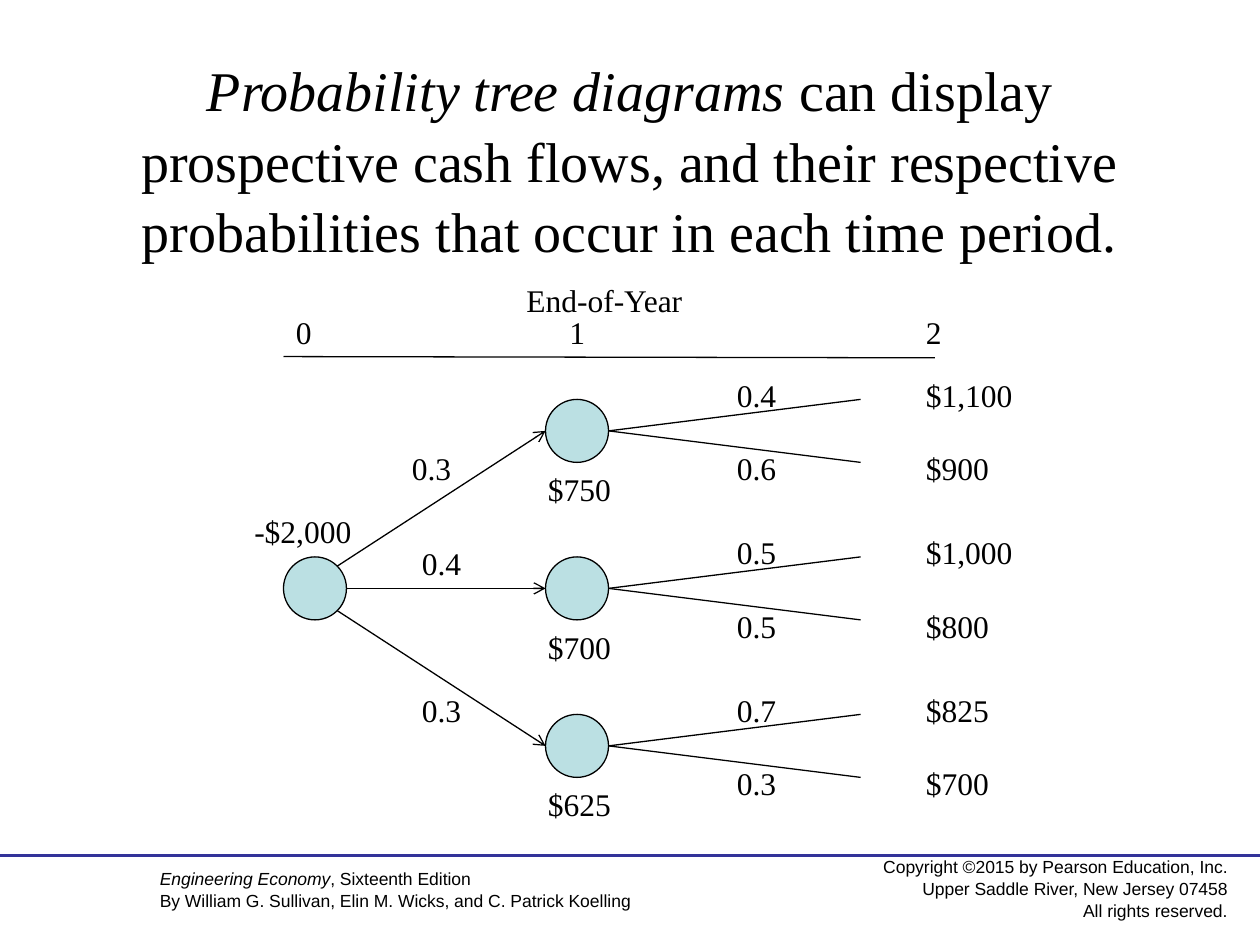
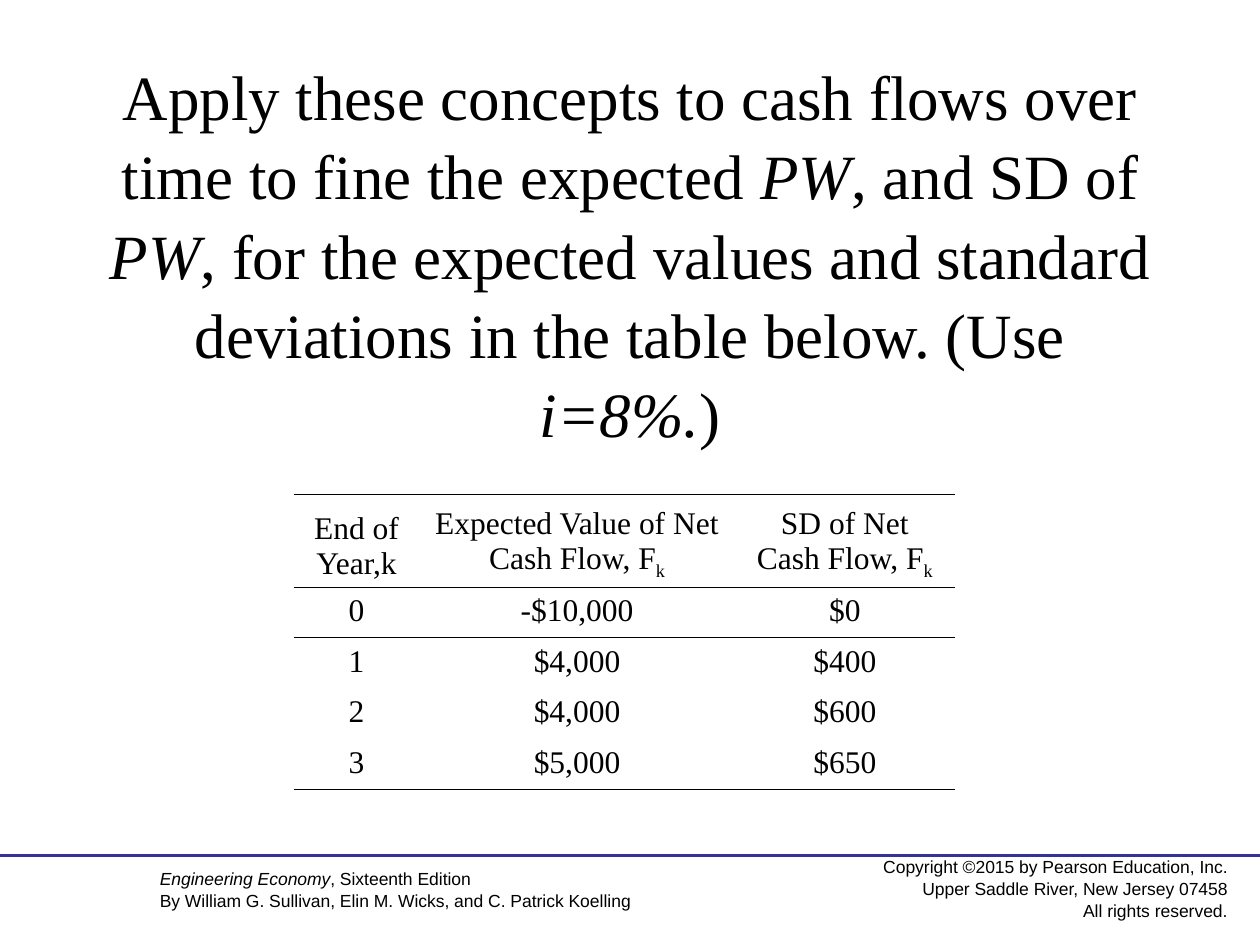
from math import cos, radians, sin

from lxml.etree import SubElement
from pptx import Presentation
from pptx.dml.color import RGBColor
from pptx.enum.shapes import MSO_CONNECTOR as Connector, MSO_SHAPE as Shape
from pptx.enum.text import MSO_ANCHOR as Anchor, MSO_AUTO_SIZE as AutoSize, PP_ALIGN as Align
from pptx.oxml import parse_xml
from pptx.oxml.ns import nsdecls, qn
from pptx.util import Inches, Pt

BLACK, RULE_BLUE, NODE_TEAL = "000000", "333399", "BBE0E3"
SERIF, SANS = "Times New Roman", "Arial"
LINE_SPACING = 1.05
PLAIN_TABLE = "{2D5ABB26-0587-4C30-8999-92F81FD0307C}"


def color(hex_code):
    return RGBColor.from_string(hex_code)


# Shared text and line helpers
def write(para, spans, size, font=SERIF, align=Align.LEFT, spacing=LINE_SPACING):
    """Fill a paragraph from (text, style) pairs; style is "", "italic" or "sub"."""
    para.alignment = align
    para.line_spacing = spacing
    for text, style in spans:
        span = para.add_run()
        span.text = text
        span.font.name = font
        span.font.size = Pt(size)
        span.font.color.rgb = color(BLACK)
        span.font.italic = style == "italic"
        if style == "sub":
            span.font._element.set("baseline", "-25000")


def add_text(page, left, top, width, height, lines, size=18, font=SERIF,
             align=Align.LEFT, anchor=Anchor.TOP):
    box = page.shapes.add_textbox(Inches(left), Inches(top), Inches(width), Inches(height))
    frame = box.text_frame
    frame.word_wrap = True
    frame.vertical_anchor = anchor
    for index, spans in enumerate(lines):
        para = frame.add_paragraph() if index else frame.paragraphs[0]
        write(para, spans, size, font, align)


def add_label(page, left, top, text, width=0.75):
    add_text(page, left, top, width, 0.4, [[(text, "")]])


def add_line(page, start, end, hex_code=BLACK, weight=0.75, arrow=False):
    line = page.shapes.add_connector(
        Connector.STRAIGHT, *(Inches(value) for value in (*start, *end)))
    line.line.color.rgb = color(hex_code)
    line.line.width = Pt(weight)
    if arrow:
        SubElement(line.line._get_or_add_ln(), qn("a:tailEnd"), type="arrow")
    SubElement(line._element.spPr, qn("a:effectLst"))


# Parts every slide carries
def add_title(page, left, top, width, height, spans, size):
    title = page.shapes.title
    title.left, title.top = Inches(left), Inches(top)
    title.width, title.height = Inches(width), Inches(height)
    frame = title.text_frame
    frame.word_wrap = True
    frame.auto_size = AutoSize.NONE
    frame.vertical_anchor = Anchor.MIDDLE
    write(frame.paragraphs[0], spans, size, align=Align.CENTER)


def add_footer(page, top):
    add_text(page, 6.67, top - 0.04, 3.17, 0.59, [
        [("Copyright ©2015 by Pearson Education, Inc.", "")],
        [("Upper Saddle River, New Jersey 07458", "")],
        [("All rights reserved.", "")],
    ], 10, SANS, Align.RIGHT, Anchor.MIDDLE)
    add_text(page, 1.17, top + 0.04, 5, 0.44, [
        [("Engineering Economy", "italic"), (", Sixteenth Edition", "")],
        [("By William G. Sullivan, Elin M. Wicks, and C. Patrick Koelling", "")],
    ], 10, SANS)
    add_line(page, (0, top), (10, top), RULE_BLUE, 2.25)


def add_page(deck, title_box, title_spans, title_size):
    page = deck.slides.add_slide(deck.slide_layouts[5])
    add_footer(page, 6.79)
    add_title(page, *title_box, title_spans, title_size)
    return page


# Probability tree
NODE_SIZE = 0.5
RADIUS = NODE_SIZE / 2
NODE_LEFT, BRANCH_END, OUTCOME_LEFT = 2.08, 4.58, 5
ROW_GAP = 1.25

# Year-1 cash flow, then (probability, year-2 cash flow) for each branch
YEAR_ONE = [
    ("$750", [("0.4", "$1,100"), ("0.6", "$900")]),
    ("$700", [("0.5", "$1,000"), ("0.5", "$800")]),
    ("$625", [("0.7", "$825"), ("0.3", "$700")]),
]
# Probability, label offset from the tree's corner, angle where the arrow leaves the root
ROOT_ARROWS = [("0.3", 0.92, 1.33, -45), ("0.4", 1, 2.08, 0), ("0.3", 1, 3.25, 45)]


def add_node(page, left, middle):
    node = page.shapes.add_shape(Shape.OVAL, Inches(left), Inches(middle - RADIUS),
                                 Inches(NODE_SIZE), Inches(NODE_SIZE))
    node.shadow.inherit = False
    node.fill.solid()
    node.fill.fore_color.rgb = color(NODE_TEAL)
    node.line.color.rgb = color(BLACK)
    node.line.width = Pt(0.75)


def add_timeline(page, left, top):
    add_label(page, left + 1.83, top, "End-of-Year", 1.5)
    for year, offset in enumerate((0, 2.17, OUTCOME_LEFT)):
        add_label(page, left + offset, top + 0.25, str(year), 0.34)
    add_line(page, (left, top + 0.66), (left + 5.17, top + 0.67))


def add_year_two(page, left, middle, branches):
    start = (left + NODE_LEFT + NODE_SIZE, middle)
    rows = ((-0.25, -0.5), (0.25, 0.08))
    for (chance, outcome), (rise, label_rise) in zip(branches, rows):
        add_line(page, start, (left + BRANCH_END, middle + rise))
        add_label(page, left + 3.5, middle + label_rise, chance)
        add_label(page, left + OUTCOME_LEFT, middle + label_rise, outcome, 1)


def add_tree(page, left, top):
    add_timeline(page, left, top)
    root_middle = top + 2 * ROW_GAP
    add_node(page, left, root_middle)
    add_label(page, left - 0.33, root_middle - 0.67, "-$2,000", 1.17)
    for row, (cash_flow, branches) in enumerate(YEAR_ONE):
        chance, label_left, label_top, angle = ROOT_ARROWS[row]
        middle = top + (row + 1) * ROW_GAP
        rim = (left + RADIUS * (1 + cos(radians(angle))),
               root_middle + RADIUS * sin(radians(angle)))
        add_line(page, rim, (left + NODE_LEFT, middle), arrow=True)
        add_label(page, left + label_left, top + label_top, chance)
        add_node(page, left + NODE_LEFT, middle)
        add_label(page, left + 2, middle + RADIUS, cash_flow)
        add_year_two(page, left, middle, branches)


# Cash flow table
HEADINGS = [
    [("End of Year,k", "")],
    [("Expected Value of Net Cash Flow, F", ""), ("k", "sub")],
    [("SD of Net Cash Flow, F", ""), ("k", "sub")],
]
CASH_FLOWS = [("0", "-$10,000", "$0"), ("1", "$4,000", "$400"),
              ("2", "$4,000", "$600"), ("3", "$5,000", "$650")]


def add_border(cell, sides):
    """Rule the cell's sides, "T" for top and "B" for bottom."""
    for index, side in enumerate(sides):
        cell._tc.get_or_add_tcPr().insert(index, parse_xml(
            f'<a:ln{side} {nsdecls("a")} w="{Pt(0.45)}"><a:solidFill>'
            f'<a:srgbClr val="{BLACK}"/></a:solidFill></a:ln{side}>'))


def add_cash_flow_table(page, left, top, widths, heights):
    rows = [HEADINGS] + [[[(text, "")] for text in values] for values in CASH_FLOWS]
    holder = page.shapes.add_table(len(rows), len(widths), Inches(left), Inches(top),
                                   Inches(sum(widths)), Inches(sum(heights)))
    for style in holder._element.iter(qn("a:tableStyleId")):
        style.text = PLAIN_TABLE
    table = holder.table
    table.first_row = table.horz_banding = False
    for column, width in zip(table.columns, widths):
        column.width = Inches(width)
    borders = {0: "TB", 1: "T", len(rows) - 1: "B"}
    for index, (row, height) in enumerate(zip(table.rows, heights)):
        row.height = Inches(height)
        for cell, spans in zip(row.cells, rows[index]):
            cell.fill.background()
            cell.vertical_anchor = Anchor.TOP if index else Anchor.BOTTOM
            write(cell.text_frame.paragraphs[0], spans, 18, align=Align.CENTER, spacing=1.0)
            add_border(cell, borders.get(index, ""))


# Slides
def build_tree_page(deck):
    page = add_page(deck, (0.75, 0.42, 8.5, 1.67), [
        ("Probability tree diagrams", "italic"),
        (" can display prospective cash flows, and their respective probabilities "
         "that occur in each time period.", ""),
    ], 32)
    add_tree(page, 2.25, 2.17)


def build_table_page(deck):
    page = add_page(deck, (0.75, 0.5, 8.5, 3), [
        ("Apply these concepts to cash flows over time to fine the expected ", ""),
        ("PW", "italic"),
        (", and SD of ", ""),
        ("PW", "italic"),
        (", for the expected values and standard deviations in the table below. (Use ", ""),
        ("i=8%.", "italic"),
        (")", ""),
    ], 36)
    add_cash_flow_table(page, 2.33, 3.92, (1, 2.5, 1.75), (0.74, 0.4, 0.4, 0.4, 0.4))


def main():
    deck = Presentation()
    deck.slide_width, deck.slide_height = Inches(10), Inches(7.5)
    build_tree_page(deck)
    build_table_page(deck)
    deck.save("out.pptx")


if __name__ == "__main__":
    main()
